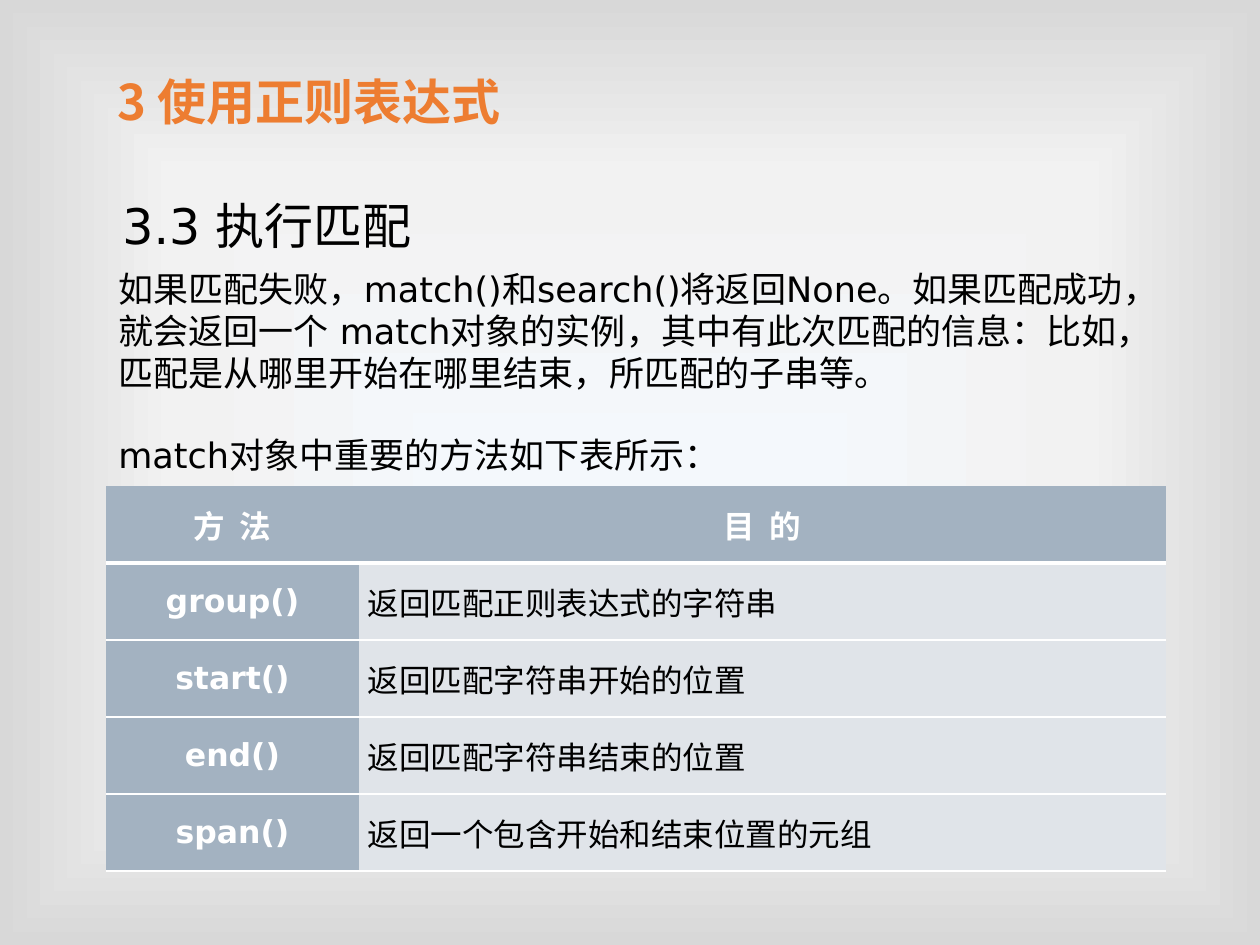
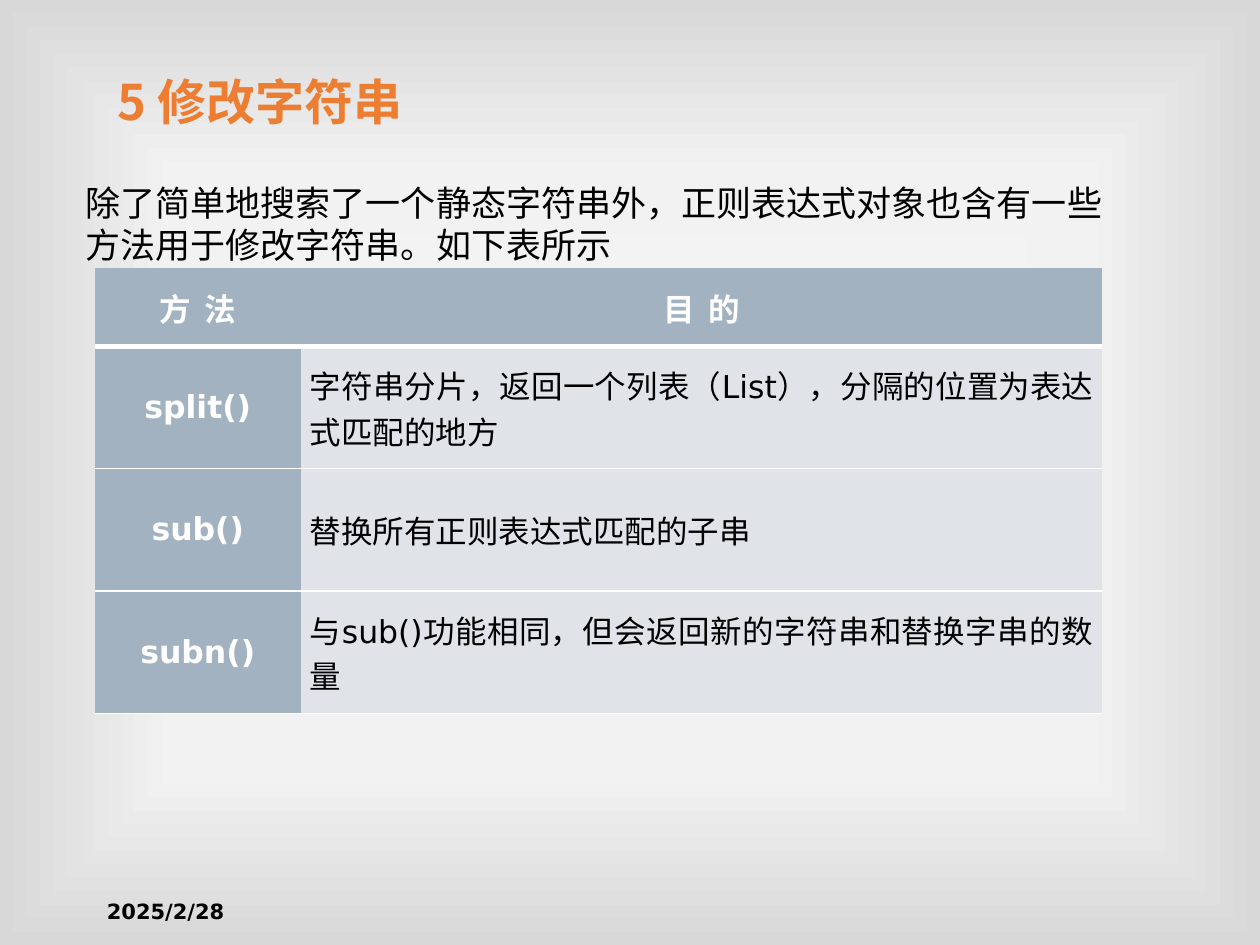
from lxml import etree
from pptx import Presentation
from pptx import util as u
from pptx.dml.color import RGBColor
from pptx.enum import text
from pptx.oxml import ns

ORANGE = RGBColor(0xED, 0x7D, 0x31)
BLACK = RGBColor(0, 0, 0)
WHITE = RGBColor(0xFF, 0xFF, 0xFF)
STEEL = RGBColor(0xA3, 0xB2, 0xC1)
PALE = RGBColor(0xE0, 0xE4, 0xE9)
GLOW = [(0, "F4F8FC"), (63, "F2F2F2"), (100, "D8D8D8")]
SANS, HAN = "DejaVu Sans", "Noto Sans CJK SC"
ALIGN, ANCHOR = text.PP_ALIGN, text.MSO_ANCHOR

prs = Presentation()
prs.slide_width, prs.slide_height = u.Inches(10), u.Inches(7.5)
# One hundredth of the slide's width and height
COL, ROW = prs.slide_width / 100, prs.slide_height / 100


def add_run(para, words, size, color, bold=False, face=SANS, east=SANS):
    run = para.add_run()
    run.text = words
    font = run.font
    font.size, font.bold, font.name = u.Pt(size), bold, face
    font.color.rgb = color
    props = run._r.get_or_add_rPr()
    etree.SubElement(props, ns.qn("a:ea")).set("typeface", east)
    return props


def add_box(slide, x, y, w, h):
    box = slide.shapes.add_textbox(int(x * COL), int(y * ROW), int(w * COL), int(h * ROW))
    box.text_frame.word_wrap = True
    return box.text_frame


# Shared background: a glow from the centre
master = prs.slide_master
master.background.fill.solid()
plain = master.element.find(".//" + ns.qn("p:bgPr"))[0]
stops = "".join(f'<a:gs pos="{pos * 1000}"><a:srgbClr val="{tint}"/></a:gs>' for pos, tint in GLOW)
glow = etree.fromstring(
    f'<a:gradFill {ns.nsdecls("a")} rotWithShape="1"><a:gsLst>{stops}</a:gsLst>'
    '<a:path path="shape"><a:fillToRect l="50000" t="50000" r="50000" b="50000"/></a:path></a:gradFill>')
plain.getparent().replace(plain, glow)

# Content: text boxes are (place, size, paragraphs), tables are (place, columns, rows)
PAGES = [
    {
        "title": " 3 使用正则表达式",
        "texts": [
            ((7.5, 20, 73.3, 7.6), 28, [" 3.3 执行匹配"]),
            ((8.4, 27.6, 84.2, 22.8), 20, [
                "如果匹配失败，match()和search()将返回None。如果匹配成功，就会返回一个 match对象的实例，"
                "其中有此次匹配的信息：比如，匹配是从哪里开始在哪里结束，所匹配的子串等。",
                "match对象中重要的方法如下表所示："]),
        ],
        "place": (8.4, 51.45), "cols": (20.1, 64), "rows": (8.15, 8.15),
        "methods": [
            ("group()", "返回匹配正则表达式的字符串"),
            ("start()", "返回匹配字符串开始的位置"),
            ("end()", "返回匹配字符串结束的位置"),
            ("span()", "返回一个包含开始和结束位置的元组"),
        ],
    },
    {
        "title": " 5 修改字符串",
        "date": "2025/2/28",
        "texts": [
            ((5.8, 18.5, 84.2, 10), 20, [
                "除了简单地搜索了一个静态字符串外，正则表达式对象也含有一些方法用于修改字符串。如下表所示"]),
        ],
        "place": (7.5, 28.4), "cols": (16.4, 63.6), "rows": (8.25, 12.95),
        "methods": [
            ("split()", "字符串分片，返回一个列表（List），分隔的位置为表达式匹配的地方"),
            ("sub()", "替换所有正则表达式匹配的子串"),
            ("subn()", "与sub()功能相同，但会返回新的字符串和替换字串的数量"),
        ],
    },
]

for page in PAGES:
    slide = prs.slides.add_slide(prs.slide_layouts[6])

    # Date
    if "date" in page:
        frame = add_box(slide, 7.5, 94.4, 20.8, 3.3)
        add_run(frame.paragraphs[0], page["date"], 12, BLACK, True)

    # Title
    frame = add_box(slide, 7.5, 4.4, 85, 10)
    frame.vertical_anchor = ANCHOR.BOTTOM
    add_run(frame.paragraphs[0], page["title"], 28, ORANGE, True, HAN, HAN)

    # Headings and running text
    for place, size, paras in page["texts"]:
        frame = add_box(slide, *place)
        for n, words in enumerate(paras):
            para = frame.add_paragraph() if n else frame.paragraphs[0]
            if n:
                para.space_before = u.Pt(size * 1.16)
            add_run(para, words, size, BLACK)

    # Table of methods
    lines = [("方 法", "目 的")] + page["methods"]
    x, y = page["place"]
    head, each = page["rows"]
    high = head + each * len(page["methods"])
    grid = slide.shapes.add_table(len(lines), 2, int(x * COL), int(y * ROW),
                                  int(sum(page["cols"]) * COL), int(high * ROW)).table
    for c, wide in enumerate(page["cols"]):
        grid.columns[c].width = int(wide * COL)
    for r, line in enumerate(lines):
        grid.rows[r].height = int((each if r else head) * ROW)
        for c, words in enumerate(line):
            cell = grid.cell(r, c)
            cell.vertical_anchor = ANCHOR.MIDDLE
            cell.margin_left = cell.margin_right = u.Inches(0.07)
            cell.margin_top = cell.margin_bottom = u.Inches(0.01)

            # White rules between rows, a thick one under the header
            props = cell._tc.get_or_add_tcPr()
            rules = {"L": 0, "R": 0, "T": (0, 3, 1)[min(r, 2)], "B": 1 if r else 3}
            for side, thick in rules.items():
                rule = etree.SubElement(props, ns.qn("a:ln" + side), w=str(u.Pt(thick)))
                if thick:
                    ink = etree.SubElement(rule, ns.qn("a:solidFill"))
                    etree.SubElement(ink, ns.qn("a:srgbClr"), val=str(WHITE))
                else:
                    etree.SubElement(rule, ns.qn("a:noFill"))

            label = r == 0 or c == 0
            cell.fill.solid()
            cell.fill.fore_color.rgb = STEEL if label else PALE
            para = cell.text_frame.paragraphs[0]
            para.alignment = ALIGN.CENTER if label else ALIGN.JUSTIFY
            run = add_run(para, words, 18, WHITE if label else BLACK, label, SANS, HAN)
            if r == 0:
                run.set("spc", "200")

prs.save("out.pptx")
